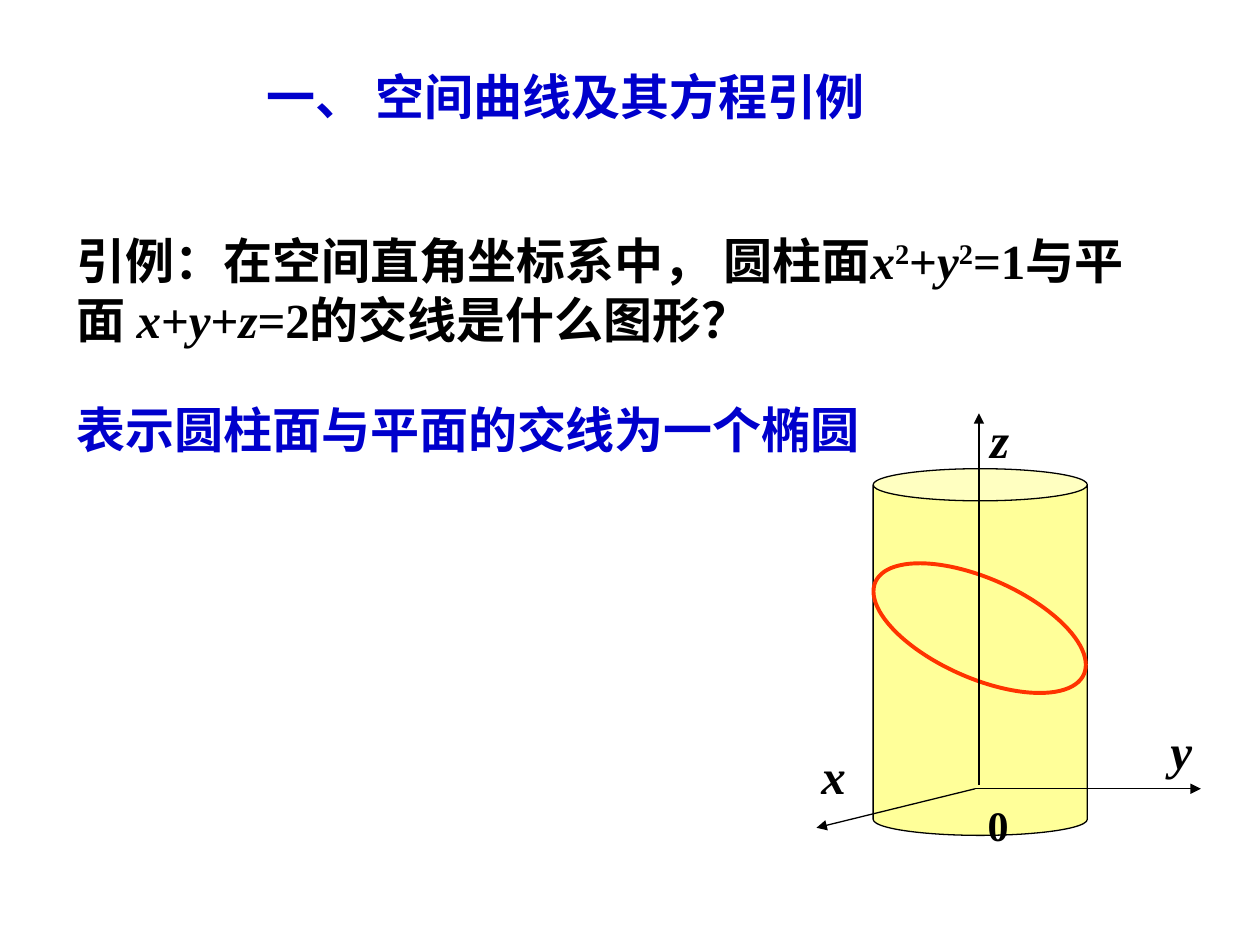
"""Slide on the curve where a cylinder meets a plane."""
from lxml import etree
from pptx import Presentation
from pptx.dml.color import RGBColor
from pptx.enum.shapes import MSO_CONNECTOR, MSO_SHAPE
from pptx.enum.text import MSO_ANCHOR, PP_ALIGN
from pptx.oxml.ns import qn
from pptx.util import Inches, Pt

BLUE = RGBColor(0x00, 0x00, 0xCC)
BLACK = RGBColor(0x00, 0x00, 0x00)
YELLOW = RGBColor(0xFF, 0xFF, 0x99)
RED = RGBColor(0xFF, 0x33, 0x00)
CAN, OVAL = MSO_SHAPE.CAN, MSO_SHAPE.OVAL
STRAIGHT = MSO_CONNECTOR.STRAIGHT
LEFT, CENTER = PP_ALIGN.LEFT, PP_ALIGN.CENTER
TOP, MIDDLE = MSO_ANCHOR.TOP, MSO_ANCHOR.MIDDLE
CHINESE, SERIF = "Noto Sans CJK SC", "Times New Roman"
PLAIN, ITALIC, SUPER = "plain", "italic", "super"

TITLE = [("一、 空间曲线及其方程引例", PLAIN)]
QUESTION = [
    ("引例：在空间直角坐标系中， 圆柱面", PLAIN),
    ("x", ITALIC), ("2", SUPER), ("+", PLAIN), ("y", ITALIC), ("2", SUPER),
    ("=1与平面 ", PLAIN),
    ("x", ITALIC), ("+", PLAIN), ("y", ITALIC), ("+", PLAIN), ("z", ITALIC),
    ("=2的交线是什么图形？", PLAIN),
]
ANSWER = [("表示圆柱面与平面的交线为一个椭圆", PLAIN)]

AXES = [
    ((7.77, 6.23), (7.77, 3.28)),
    ((7.74, 6.26), (6.48, 6.57)),
    ((7.74, 6.26), (9.53, 6.26)),
]
LABELS = [
    ("y", ITALIC, (9.19, 5.67, 0.43, 0.57), 28),
    ("x", ITALIC, (6.42, 5.87, 0.39, 0.57), 28),
    ("z", ITALIC, (7.76, 3.2, 0.35, 0.57), 28),
    ("0", PLAIN, (7.74, 6.3, 0.27, 0.5), 24),
]


def add_text(slide, box, runs, font, color, size=28, align=LEFT, anchor=TOP):
    frame = slide.shapes.add_textbox(*map(Inches, box)).text_frame
    frame.word_wrap = True
    frame.vertical_anchor = anchor
    paragraph = frame.paragraphs[0]
    paragraph.alignment = align
    paragraph.font.size = Pt(size)
    paragraph.font.bold = True
    paragraph.font.color.rgb = color
    paragraph.font.name = font
    defaults = paragraph._p.pPr.find(qn("a:defRPr"))
    etree.SubElement(defaults, qn("a:ea")).set("typeface", CHINESE)
    for text, style in runs:
        run = paragraph.add_run()
        run.text = text
        if style == ITALIC:
            run.font.italic = True
        elif style == SUPER:
            run._r.get_or_add_rPr().set("baseline", "30000")


def add_outlined(slide, preset, box, color, width):
    shape = slide.shapes.add_shape(preset, *map(Inches, box))
    shape.shadow.inherit = False
    shape.fill.background()
    shape.line.color.rgb = color
    shape.line.width = Pt(width)
    return shape


def add_axis(slide, start, end):
    axis = slide.shapes.add_connector(STRAIGHT, *map(Inches, start + end))
    axis.line.color.rgb = BLACK
    axis.line.width = Pt(0.75)
    etree.SubElement(axis.line._get_or_add_ln(), qn("a:tailEnd")).set("type", "triangle")
    etree.SubElement(axis._element.spPr, qn("a:effectLst"))


def main():
    presentation = Presentation()
    presentation.slide_width, presentation.slide_height = Inches(10), Inches(7.5)
    slide = presentation.slides.add_slide(presentation.slide_layouts[6])

    add_text(slide, (1.3, 0.3, 6.38, 0.93), TITLE, CHINESE, BLUE, align=CENTER, anchor=MIDDLE)
    add_text(slide, (0.51, 1.78, 8.56, 1.04), QUESTION, SERIF, BLACK)
    add_text(slide, (0.51, 3.12, 6.65, 0.57), ANSWER, CHINESE, BLUE)

    cylinder = add_outlined(slide, CAN, (6.93, 3.72, 1.7, 2.91), BLACK, 0.75)
    cylinder.adjustments[0] = 0.15
    cylinder.fill.solid()
    cylinder.fill.fore_color.rgb = YELLOW
    curve = add_outlined(slide, OVAL, (6.87, 4.59, 1.81, 0.79), RED, 2.25)
    curve.rotation = 203.9

    for start, end in AXES:
        add_axis(slide, start, end)
    for text, style, box, size in LABELS:
        add_text(slide, box, [(text, style)], SERIF, BLACK, size)

    presentation.save("out.pptx")


if __name__ == "__main__":
    main()
